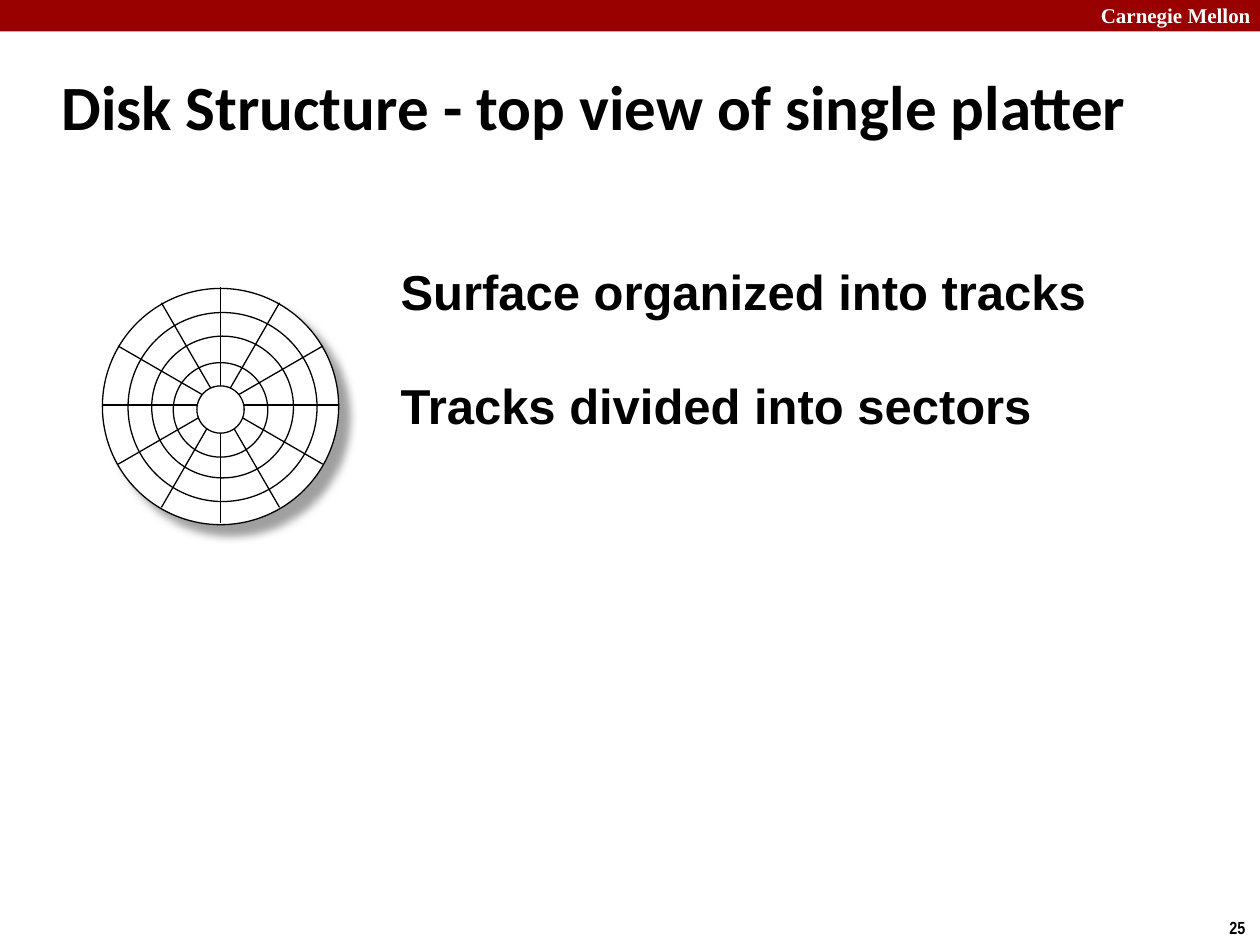
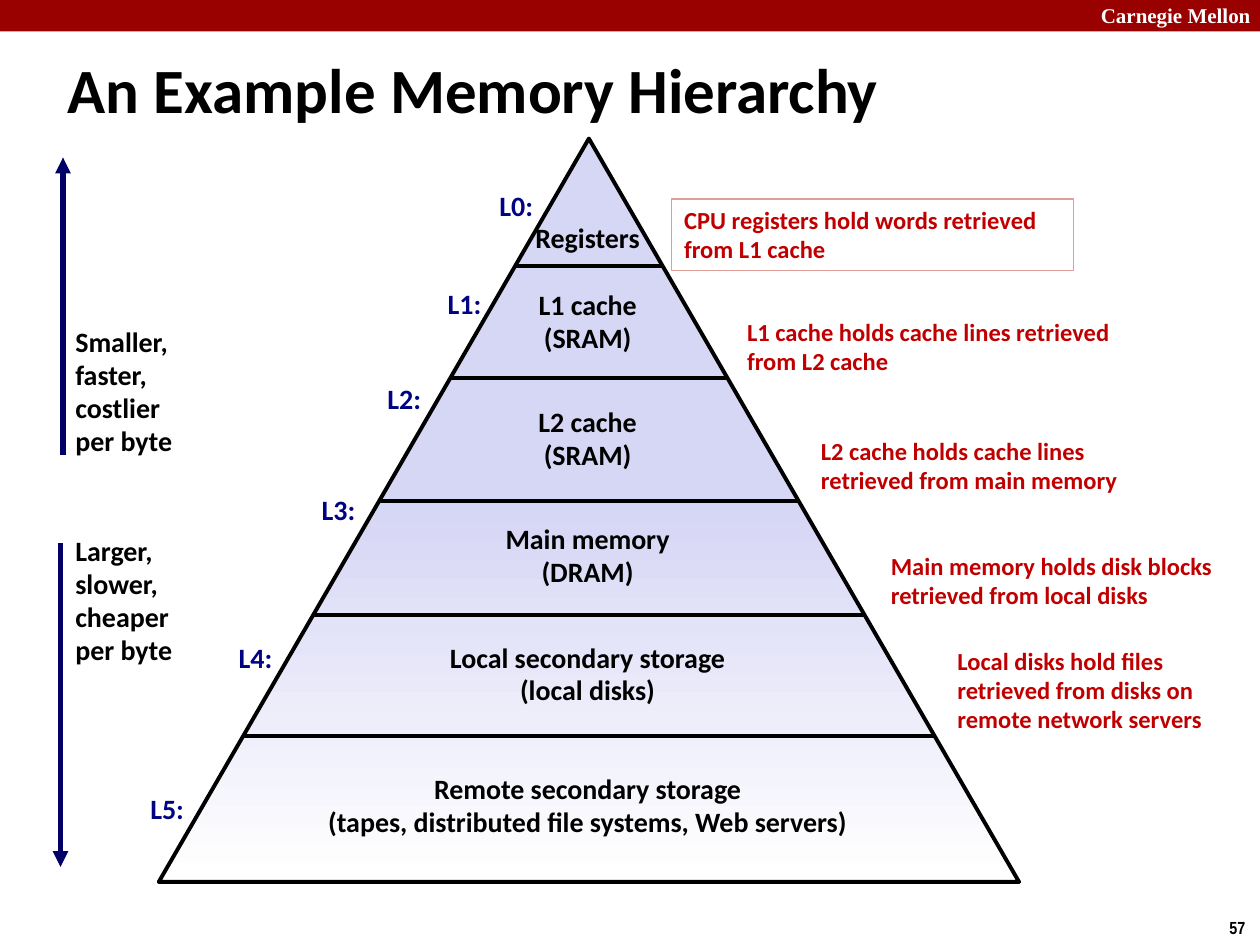
from copy import deepcopy
from math import cos, pi, sin

from pptx import Presentation
from pptx.dml.color import RGBColor
from pptx.enum.shapes import MSO_CONNECTOR, MSO_SHAPE
from pptx.enum.text import MSO_ANCHOR, PP_ALIGN
from pptx.oxml import parse_xml
from pptx.oxml.ns import nsdecls, qn
from pptx.util import Pt

TOP, MIDDLE, BOTTOM = MSO_ANCHOR.TOP, MSO_ANCHOR.MIDDLE, MSO_ANCHOR.BOTTOM
LEFT, CENTER = PP_ALIGN.LEFT, PP_ALIGN.CENTER
RECTANGLE, OVAL = MSO_SHAPE.RECTANGLE, MSO_SHAPE.OVAL
TRIANGLE = MSO_SHAPE.ISOSCELES_TRIANGLE
STRAIGHT = MSO_CONNECTOR.STRAIGHT

BLACK = RGBColor(0x00, 0x00, 0x00)
WHITE = RGBColor(0xFF, 0xFF, 0xFF)
BAND_RED = RGBColor(0x99, 0x00, 0x00)
NOTE_RED = RGBColor(0xC0, 0x00, 0x00)
NOTE_BORDER = RGBColor(0xDF, 0x9F, 0x98)
LABEL_BLUE = RGBColor(0x00, 0x04, 0x82)
ARROW_BLUE = RGBColor(0x00, 0x00, 0x66)
LAVENDER = RGBColor(0xD6, 0xD6, 0xF5)

WIDTH, HEIGHT = 720, 540


class SlideBuilder:
    """Holds the deck style and the page being drawn; lengths are in points."""

    def __init__(self):
        self.deck = Presentation()
        self.deck.slide_width, self.deck.slide_height = Pt(WIDTH), Pt(HEIGHT)
        self.page = None

    def new_page(self, title, title_area, number):
        self.page = self.deck.slides.add_slide(self.deck.slide_layouts[6])
        self.shape(RECTANGLE, (0, 0, WIDTH, 18), fill=BAND_RED)
        self.text(["Carnegie Mellon"], (622, -2, 103, 21.6), 12, WHITE,
                  font="Times New Roman")
        self.text([number], (695.5, 520.5, 24.5, 19.5), 10,
                  font="Arial Narrow", wrap=False)
        self.text([title], title_area, 36, anchor=MIDDLE)

    def shape(self, kind, area, fill=None, line=None, weight=0.75):
        box = self.page.shapes.add_shape(kind, *map(Pt, area))
        box.shadow.inherit = False
        if fill is None:
            box.fill.background()
        else:
            box.fill.solid()
            box.fill.fore_color.rgb = fill
        if line is None:
            box.line.fill.background()
        else:
            box.line.color.rgb = line
            box.line.width = Pt(weight)
        return box

    def circle(self, x, y, radius, fill=None):
        area = (x - radius, y - radius, 2 * radius, 2 * radius)
        return self.shape(OVAL, area, fill, BLACK)

    def text(self, lines, area, size, color=BLACK, font="Calibri", align=LEFT,
             anchor=TOP, spacing=1.0, wrap=True, border=None):
        if border is None:
            box = self.page.shapes.add_textbox(*map(Pt, area))
        else:
            box = self.shape(RECTANGLE, area, line=border)
        frame = box.text_frame
        frame.word_wrap = wrap
        frame.vertical_anchor = anchor
        frame.text = "\n".join(lines)
        for para in frame.paragraphs:
            para.alignment = align
            para.line_spacing = spacing
            para.font.size = Pt(size)
            para.font.name = font
            para.font.bold = True
            para.font.color.rgb = color

    def caption(self, lines, area, size=16, color=BLACK, **options):
        self.text(lines, area, size, color, anchor=MIDDLE, spacing=0.98,
                  **options)

    def line(self, start, end, color=BLACK, weight=0.75, arrow=False):
        link = self.page.shapes.add_connector(STRAIGHT, *map(Pt, start + end))
        link.line.color.rgb = color
        link.line.width = Pt(weight)
        properties = link._element.spPr
        if arrow:
            properties.find(qn("a:ln")).append(
                parse_xml(f'<a:tailEnd {nsdecls("a")} type="triangle"/>'))
        properties.append(parse_xml(f'<a:effectLst {nsdecls("a")}/>'))


def add_soft_shadow(box):
    effects = box._element.spPr.find(qn("a:effectLst"))
    effects.append(parse_xml(
        f'<a:outerShdw {nsdecls("a")} blurRad="{Pt(5)}" dist="{Pt(8.5)}" '
        'dir="2700000" algn="ctr" rotWithShape="0"><a:srgbClr val="808080">'
        '<a:alpha val="75000"/></a:srgbClr></a:outerShdw>'))


def fill_gradient(box, stops):
    box.fill.gradient()
    box.fill.gradient_angle = 270
    stop_list = box._element.spPr.find(".//" + qn("a:gsLst"))
    while len(stop_list) < len(stops):
        stop_list.insert(0, deepcopy(stop_list[0]))
    for stop, (position, color) in zip(box.fill.gradient_stops, stops):
        stop.position = position
        stop.color.rgb = color


def build_disk_page(builder):
    builder.new_page("Disk Structure - top view of single platter",
                     (28, 30, 668, 60), "25")

    # Platter
    platter_x, platter_y, platter_radius = 126, 232.3, 67.5
    add_soft_shadow(builder.circle(platter_x, platter_y, platter_radius, WHITE))

    # Sector boundaries: six diameters, 30 degrees apart
    spoke_y = 231.5
    for step in range(6):
        dx = platter_radius * cos(step * pi / 6)
        dy = platter_radius * sin(step * pi / 6)
        builder.line((platter_x + dx, spoke_y - dy),
                     (platter_x - dx, spoke_y + dy))

    # Hub and track boundaries
    builder.circle(126, 234, 13.5, WHITE)
    for x, y, radius in ((127.2, 232.6, 54), (127.2, 232.6, 40.5),
                         (126, 234.2, 27)):
        builder.circle(x, y, radius)

    # Statements
    for top, statement in ((120.2, "Surface organized into tracks"),
                           (185.8, "Tracks divided into sectors")):
        builder.text([statement], (221.8, top, 450, 66.2), 28, font="Arial",
                     anchor=BOTTOM)


def build_hierarchy_page(builder):
    builder.new_page("An Example Memory Hierarchy",
                     (31.7, 19.4, 686, 62), "57")

    # Pyramid
    apex_x, apex_y, base_width, height = 336.5, 79.2, 491.6, 424.8
    pyramid = builder.shape(
        TRIANGLE, (apex_x - base_width / 2, apex_y, base_width, height),
        WHITE, BLACK, 2.25)
    fill_gradient(pyramid, ((0, LAVENDER), (0.49, LAVENDER), (1, WHITE)))
    for y in (152, 216, 286.2, 351.4, 420.5):
        half = (y - apex_y) / height * base_width / 2
        builder.line((apex_x - half, y), (apex_x + half, y), weight=2)

    # Levels: lines, middle, width, then left and top of the level label
    levels = (
        (["Registers"], 136.5, 75, 278, 105),
        (["L1 cache", "(SRAM)"], 184, 71, 248.4, 160.6),
        (["L2 cache", "(SRAM)"], 251, 72, 214, 215.4),
        (["Main memory", "(DRAM)"], 318, 108, 176.4, 278.6),
        (["Local secondary storage", "(local disks)"], 385.5, 174, 129, 363),
        (["Remote secondary storage",
          "(tapes, distributed file systems, Web servers)"],
         460.5, 315, 78.5, 449.3),
    )
    for number, (lines, middle, width, left, top) in enumerate(levels):
        depth = 7.2 + 19.1 * len(lines)
        builder.caption(lines, (335.8 - width / 2, middle - depth / 2, width,
                                depth), align=CENTER, wrap=False)
        builder.caption([f"L{number}:"], (left, top, 34, 26.4),
                        color=LABEL_BLUE, align=CENTER, wrap=False)

    # What each level holds
    notes = (
        ("CPU registers hold words retrieved from L1 cache",
         (383.8, 113.8, 229.7, 41), NOTE_BORDER),
        ("L1 cache holds cache lines retrieved from L2 cache",
         (419.8, 177.8, 223.2, 41), None),
        ("L2 cache holds cache lines retrieved from main memory",
         (462, 246.2, 207.4, 41), None),
        ("Main memory holds disk blocks retrieved from local disks",
         (502, 311.8, 216, 41), None),
        ("Local disks hold files retrieved from disks on remote network servers",
         (540, 365.8, 162.7, 57.6), None),
    )
    for note, area, border in notes:
        builder.caption([note], area, 14, NOTE_RED, border=border)

    # Trends along the left side
    trends = (
        (["Smaller,", "faster,", "costlier", "per byte"], 182.2, 36, 260, 90),
        (["Larger,", "slower,", "cheaper", "per byte"], 301.7, 34.6, 310.3, 495.4),
    )
    for lines, top, x, start, end in trends:
        builder.caption(lines, (36, top, 72, 83.5), wrap=False)
        builder.line((x, start), (x, end), ARROW_BLUE, 3, arrow=True)


def main():
    builder = SlideBuilder()
    build_disk_page(builder)
    build_hierarchy_page(builder)
    builder.deck.save("out.pptx")


if __name__ == "__main__":
    main()
